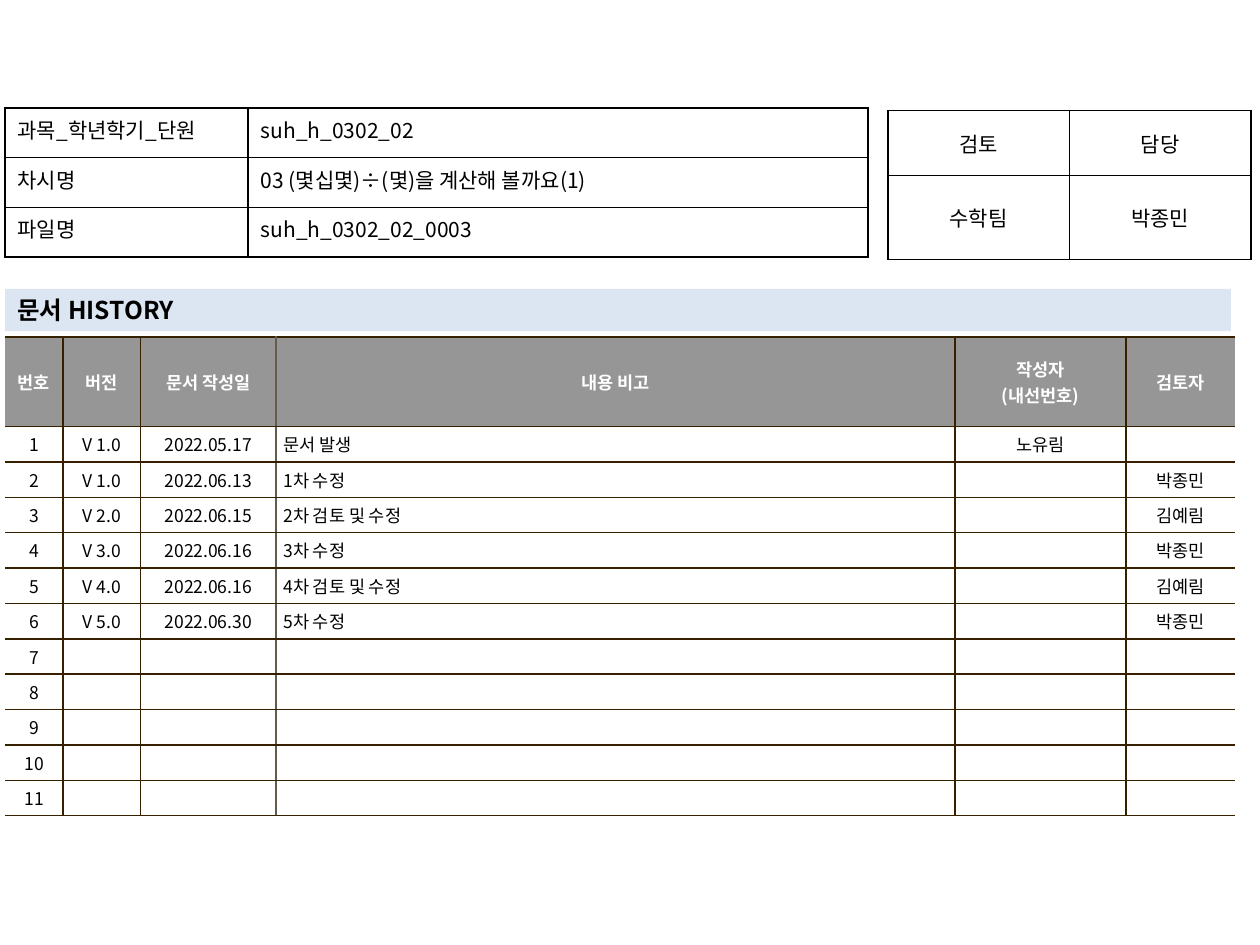
from dataclasses import dataclass
from typing import Optional

from lxml.etree import SubElement
from pptx import Presentation
from pptx.dml.color import RGBColor
from pptx.enum.shapes import MSO_SHAPE
from pptx.enum.text import MSO_ANCHOR, PP_ALIGN
from pptx.oxml.ns import qn
from pptx.util import Pt


@dataclass(frozen=True)
class Theme:
    font: str = "Noto Sans CJK KR"
    black: str = "000000"
    white: str = "FFFFFF"
    header_gray: str = "969696"
    title_blue: str = "DCE6F2"
    brown: str = "362000"
    soft_brown: str = "645B4C"
    title_size: float = 14
    form_size: float = 12
    history_size: float = 10
    border_width: float = 1


THEME = Theme()
NO_STYLE = "{2D5ABB26-0587-4C30-8999-92F81FD0307C}"


@dataclass(frozen=True)
class CellStyle:
    size: float = THEME.form_size
    color: str = THEME.black
    bold: bool = False
    fill: Optional[str] = None
    alignment: PP_ALIGN = PP_ALIGN.CENTER
    anchor: MSO_ANCHOR = MSO_ANCHOR.MIDDLE
    margin_x: float = 7.2
    margin_y: float = 3.6
    hanging: float = 0


@dataclass(frozen=True)
class TableBlock:
    """Column edges run from the left side to the right; None leaves an edge open."""
    left: float
    top: float
    columns: list[float]
    rows: list[float]
    texts: list[list[str]]
    styles: list[list[CellStyle]]
    edges: list[Optional[str]]
    row_edge: str


def format_text(text_frame, text: str, style: CellStyle) -> None:
    text_frame.text = text
    for paragraph in text_frame.paragraphs:
        paragraph.alignment = style.alignment
        if style.hanging:
            properties = paragraph._p.get_or_add_pPr()
            properties.set("marL", str(Pt(style.hanging)))
            properties.set("indent", str(-Pt(style.hanging)))
        for run in paragraph.runs:
            values = {"name": THEME.font, "size": Pt(style.size), "bold": style.bold}
            for name, value in values.items():
                setattr(run.font, name, value)
            run.font.color.rgb = RGBColor.from_string(style.color)
            SubElement(run.font._element, qn("a:ea"), typeface=THEME.font)
        if not paragraph.runs:
            end = SubElement(paragraph._p, qn("a:endParaRPr"))
            end.set("sz", str(int(style.size * 100)))


def add_border(cell, side: str, color: Optional[str]) -> None:
    width = str(Pt(THEME.border_width))
    line = SubElement(cell._tc.get_or_add_tcPr(), qn(f"a:ln{side}"), w=width)
    if color is None:
        SubElement(line, qn("a:noFill"))
    else:
        solid = SubElement(line, qn("a:solidFill"))
        SubElement(solid, qn("a:srgbClr"), val=color)


def format_cell(cell, text: str, style: CellStyle, borders: dict[str, Optional[str]]) -> None:
    values = {
        "vertical_anchor": style.anchor,
        "margin_left": Pt(style.margin_x),
        "margin_right": Pt(style.margin_x),
        "margin_top": Pt(style.margin_y),
        "margin_bottom": Pt(style.margin_y),
    }
    for name, value in values.items():
        setattr(cell, name, value)
    for side, color in borders.items():
        add_border(cell, side, color)
    if style.fill is None:
        cell.fill.background()
    else:
        cell.fill.solid()
        cell.fill.fore_color.rgb = RGBColor.from_string(style.fill)
    format_text(cell.text_frame, text, style)


def draw_table(slide, block: TableBlock) -> None:
    table = slide.shapes.add_table(
        len(block.rows), len(block.columns), Pt(block.left), Pt(block.top),
        Pt(sum(block.columns)), Pt(sum(block.rows))).table
    table.first_row = table.horz_banding = False
    table._tbl.tblPr.find(qn("a:tableStyleId")).text = NO_STYLE
    for column, width in zip(table.columns, block.columns):
        column.width = Pt(width)
    for row, height in zip(table.rows, block.rows):
        row.height = Pt(height)
    for r, (texts, styles) in enumerate(zip(block.texts, block.styles)):
        for c, (text, style) in enumerate(zip(texts, styles)):
            borders = {"L": block.edges[c], "R": block.edges[c + 1],
                       "T": block.row_edge, "B": block.row_edge}
            format_cell(table.cell(r, c), text, style, borders)


def draw_title(slide, text: str) -> None:
    bar = slide.shapes.add_shape(
        MSO_SHAPE.RECTANGLE, Pt(2.9), Pt(165), Pt(700.5), Pt(24.3))
    bar.shadow.inherit = False
    bar.fill.solid()
    bar.fill.fore_color.rgb = RGBColor.from_string(THEME.title_blue)
    bar.line.fill.background()
    bar.text_frame.word_wrap = True
    bar.text_frame.vertical_anchor = MSO_ANCHOR.MIDDLE
    style = CellStyle(size=THEME.title_size, bold=True, alignment=PP_ALIGN.LEFT)
    format_text(bar.text_frame, text, style)


def history_block() -> TableBlock:
    header = ["번호", "버전", "문서 작성일", "내용 비고", "작성자\n(내선번호)", "검토자"]
    entries = [
        ["V 1.0", "2022.05.17", "문서 발생", "노유림", ""],
        ["V 1.0", "2022.06.13", "1차 수정", "", "박종민"],
        ["V 2.0", "2022.06.15", "2차 검토 및 수정", "", "김예림"],
        ["V 3.0", "2022.06.16", "3차 수정", "", "박종민"],
        ["V 4.0", "2022.06.16", "4차 검토 및 수정", "", "김예림"],
        ["V 5.0", "2022.06.30", "5차 수정", "", "박종민"],
    ]
    row_count = 11
    entries += [[""] * 5] * (row_count - len(entries))
    base = {"size": THEME.history_size, "margin_x": 4.2, "margin_y": 2.9}
    head = CellStyle(color=THEME.white, bold=True, fill=THEME.header_gray, **base)
    body = CellStyle(fill=THEME.white, **base)
    note = CellStyle(fill=THEME.white, alignment=PP_ALIGN.LEFT, hanging=13.5, **base)
    reviewer = CellStyle(fill=THEME.white, hanging=6.5, **base)
    body_row = [body, body, body, note, body, reviewer]
    brown = THEME.brown
    return TableBlock(
        left=2.9, top=192.7,
        columns=[33.1, 44.3, 77.5, 388, 97.7, 62.5],
        rows=[51.1] + [17.8] * row_count,
        texts=[header] + [[str(n), *entry] for n, entry in enumerate(entries, 1)],
        styles=[[head] * len(header)] + [body_row] * row_count,
        edges=[None, brown, brown, THEME.soft_brown, brown, brown, None],
        row_edge=brown)


def approval_block() -> TableBlock:
    return TableBlock(
        left=507.4, top=63.2, columns=[103.7] * 2, rows=[37.1, 47.9],
        texts=[["검토", "담당"], ["수학팀", "박종민"]],
        styles=[[CellStyle()] * 2] * 2,
        edges=[THEME.black] * 3, row_edge=THEME.black)


def document_block() -> TableBlock:
    label = CellStyle(alignment=PP_ALIGN.JUSTIFY, anchor=MSO_ANCHOR.TOP)
    value = CellStyle(alignment=PP_ALIGN.LEFT, anchor=MSO_ANCHOR.TOP)
    return TableBlock(
        left=2.9, top=61.7, columns=[138.9, 354.3], rows=[28.4] * 3,
        texts=[["과목_학년학기_단원", "suh_h_0302_02"],
               ["차시명", "03 (몇십몇)÷(몇)을 계산해 볼까요(1)"],
               ["파일명", "suh_h_0302_02_0003"]],
        styles=[[label, value]] * 3,
        edges=[THEME.black] * 3, row_edge=THEME.black)


def main() -> None:
    presentation = Presentation()
    presentation.slide_width, presentation.slide_height = Pt(720), Pt(540)
    slide = presentation.slides.add_slide(presentation.slide_layouts[6])
    draw_table(slide, history_block())
    draw_table(slide, approval_block())
    draw_title(slide, "문서 HISTORY")
    draw_table(slide, document_block())
    presentation.save("out.pptx")


if __name__ == "__main__":
    main()
